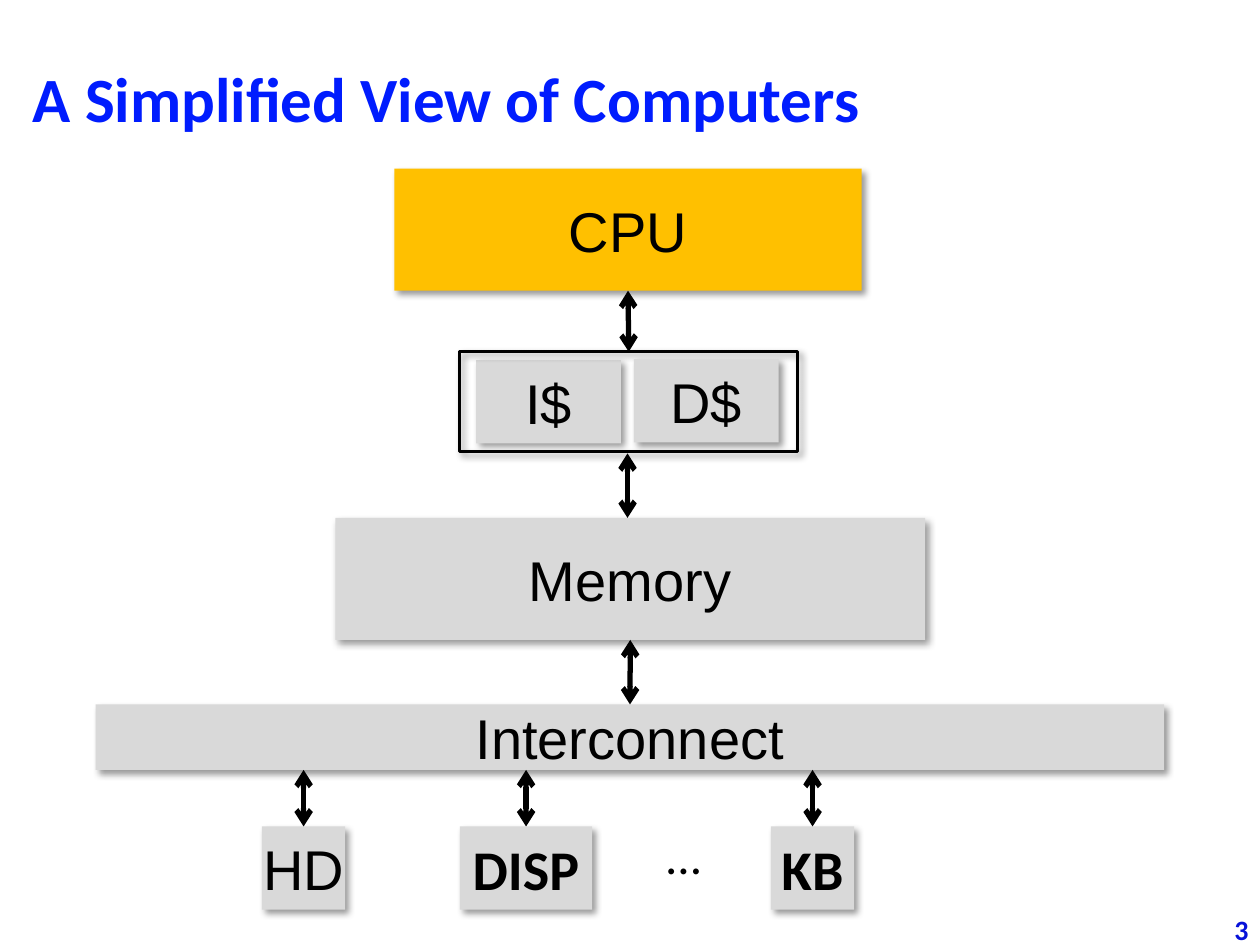
import pptx
import pptx.dml.color
import pptx.enum.shapes
import pptx.enum.text
import pptx.oxml.ns
import pptx.util

COLORS = {
    "title": "001CFE",
    "number": "0712D9",
    "cpu": "FFC000",
    "block": "D9D9D9",
    "ink": "000000",
}
ALIGN = pptx.enum.text.PP_ALIGN
ANCHOR = pptx.enum.text.MSO_ANCHOR
TOP, BOTTOM = 0, 2


def rgb(name):
    return pptx.dml.color.RGBColor.from_string(COLORS[name])


def lengths(*values):
    return [pptx.util.Cm(value) for value in values]


def add_xml(parent, tag, **attributes):
    element = parent.makeelement(pptx.oxml.ns.qn(tag), attributes)
    parent.append(element)
    return element


class Diagram:
    def __init__(self, page):
        self.page = page

    def set_text(self, item, text, size, color="ink", font="Arial", bold=False,
                 align=ALIGN.CENTER, anchor=ANCHOR.MIDDLE, wrap=False):
        frame = item.text_frame
        frame.word_wrap = wrap
        frame.vertical_anchor = anchor
        para = frame.paragraphs[0]
        para.text = text
        para.alignment = align
        para.font.name = font
        para.font.size = pptx.util.Pt(size)
        para.font.bold = bold
        para.font.color.rgb = rgb(color)
        return frame

    def label(self, left, top, width, height, text, size, **style):
        box = self.page.shapes.add_textbox(*lengths(left, top, width, height))
        return self.set_text(box, text, size, **style)

    def block(self, left, top, width, height, text="", fill="block", **style):
        box = self.page.shapes.add_shape(
            pptx.enum.shapes.MSO_SHAPE.RECTANGLE, *lengths(left, top, width, height))
        if fill:
            box.fill.solid()
            box.fill.fore_color.rgb = rgb(fill)
            box.line.fill.background()
        else:
            box.fill.background()
            box.line.color.rgb = rgb("ink")
            box.line.width = pptx.util.Pt(1.75)
        box.shadow.inherit = False
        effects = box.element.spPr.find(pptx.oxml.ns.qn("a:effectLst"))
        shadow = add_xml(effects, "a:outerShdw", blurRad=str(pptx.util.Pt(4)),
                         dist=str(pptx.util.Pt(3)), dir="2700000",
                         algn="tl", rotWithShape="0")
        tint = add_xml(shadow, "a:srgbClr", val=COLORS["ink"])
        add_xml(tint, "a:alpha", val="40000")
        if text:
            self.set_text(box, text, 32, **style)
        return box

    def arrow(self, x, top, bottom, upper=None, lower=None):
        link = self.page.shapes.add_connector(
            pptx.enum.shapes.MSO_CONNECTOR.STRAIGHT, x, top, x, bottom)
        if upper:
            link.begin_connect(upper, BOTTOM)
        if lower:
            link.end_connect(lower, TOP)
        link.line.color.rgb = rgb("ink")
        link.line.width = pptx.util.Pt(3)
        properties = link.element.spPr
        outline = properties.find(pptx.oxml.ns.qn("a:ln"))
        add_xml(outline, "a:headEnd", type="arrow")
        add_xml(outline, "a:tailEnd", type="arrow")
        add_xml(properties, "a:effectLst")

    def join(self, upper, lower):
        self.arrow(lower.left + lower.width // 2, upper.top + upper.height,
                   lower.top, upper, lower)


def main():
    deck = pptx.Presentation()
    deck.slide_width, deck.slide_height = lengths(25.4, 19.05)
    page = deck.slides.add_slide(deck.slide_layouts[6])
    diagram = Diagram(page)

    diagram.label(0.41, 0.38, 24.59, 2.46, "A Simplified View of Computers", 36,
                  color="title", font="Calibri", bold=True,
                  align=ALIGN.LEFT, anchor=ANCHOR.BOTTOM, wrap=True)
    number = diagram.label(23.57, 18.39, 1.6, 0.69, "3", 16, color="number",
                           font="Calibri", bold=True, align=ALIGN.RIGHT,
                           anchor=ANCHOR.TOP, wrap=True)
    number.margin_left = number.margin_right = 0
    number.margin_top = number.margin_bottom = 0

    cpu = diagram.block(7.95, 3.4, 9.42, 2.46, "CPU", fill="cpu")
    diagram.block(9.6, 7.26, 2.92, 1.68, "I$")
    cache = diagram.block(9.27, 7.09, 6.81, 2.01, fill=None)
    diagram.block(12.78, 7.24, 2.92, 1.68, "D$")
    memory = diagram.block(6.76, 10.44, 11.89, 2.46, "Memory")
    interconnect = diagram.block(1.93, 14.2, 21.54, 1.32, "Interconnect")

    diagram.join(cpu, cache)
    diagram.arrow(*lengths(12.65, 9.14), memory.top)
    diagram.join(memory, interconnect)

    devices = [
        ("HD", 5.28, 1.68, "Arial", False),
        ("DISP", 9.27, 2.67, "Calibri", True),
        ("KB", 15.54, 1.68, "Calibri", True),
    ]
    for name, left, width, font, bold in devices:
        device = diagram.block(left, 16.66, width, 1.68, name, font=font, bold=bold)
        diagram.arrow(device.left + device.width // 2,
                      interconnect.top + interconnect.height, device.top, lower=device)
    diagram.label(13.16, 16.51, 1.27, 1.45, "...", 28, font="Calibri",
                  align=ALIGN.LEFT, anchor=ANCHOR.TOP)

    deck.save("out.pptx")


if __name__ == "__main__":
    main()
